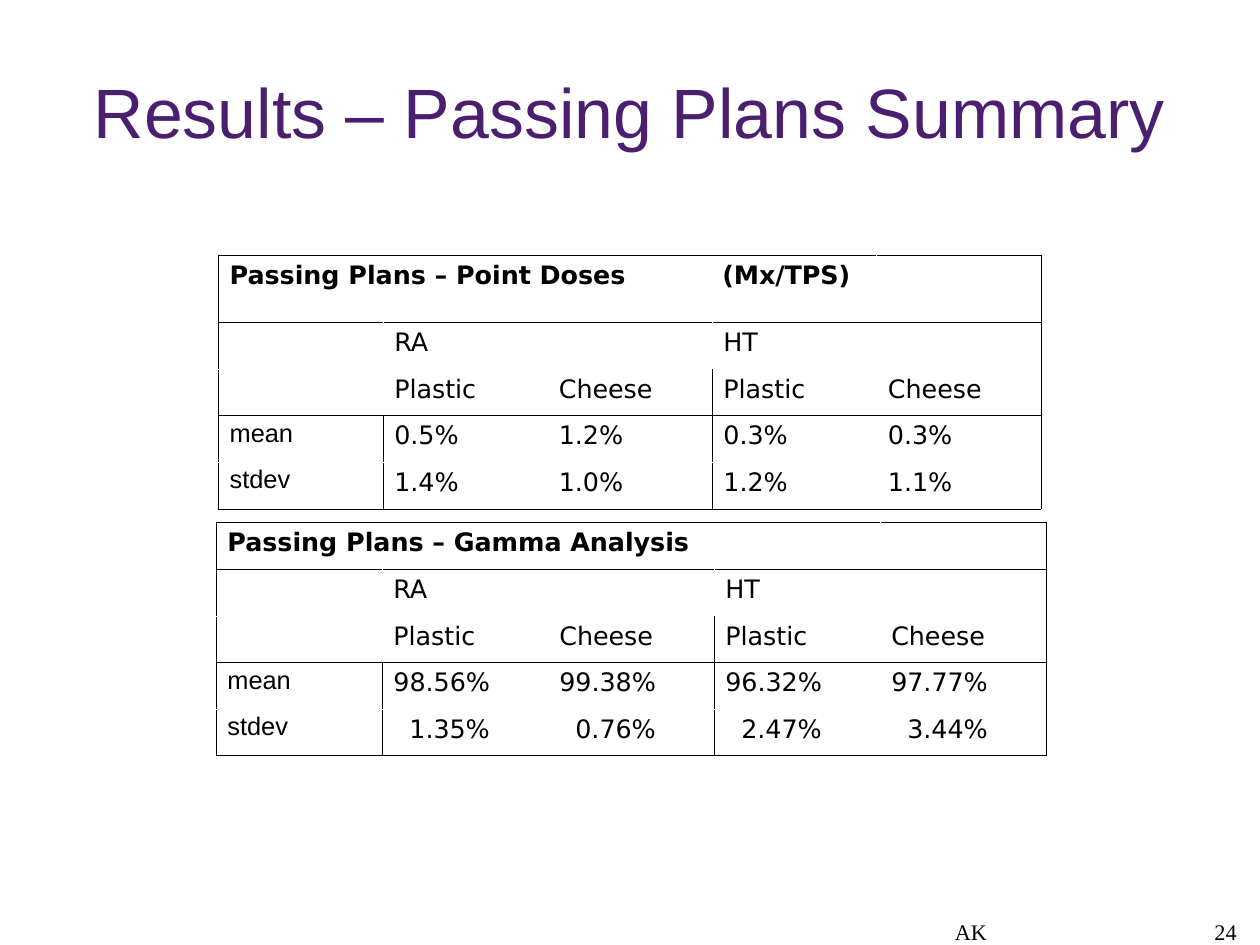
from lxml import etree
from pptx import Presentation
from pptx.dml.color import RGBColor
from pptx.enum import text
from pptx.oxml import ns
from pptx.util import Inches, Pt

BLACK = RGBColor(0x00, 0x00, 0x00)
WHITE = RGBColor(0xFF, 0xFF, 0xFF)
PURPLE = RGBColor(0x4B, 0x1F, 0x6F)
SANS = "DejaVu Sans"


def style(para, font, size, color, spacing, bold=False):
    para.line_spacing = spacing
    for run in para.runs:
        run.font.name = font
        run.font.size = Pt(size)
        run.font.color.rgb = color
        run.font.bold = bold


def border(cell, dark):
    """Draw left, right, top and bottom edges, black where dark is true."""
    props = cell._tc.get_or_add_tcPr()
    for side, on in zip("LRTB", dark):
        line = etree.SubElement(props, ns.qn("a:ln" + side), w="720")
        fill = etree.SubElement(line, ns.qn("a:solidFill"))
        etree.SubElement(fill, ns.qn("a:srgbClr"), val=str(BLACK if on else WHITE))


# The page is 28 by 21 centimetres
prs = Presentation()
prs.slide_width = Inches(28 / 2.54)
prs.slide_height = Inches(21 / 2.54)
slide = prs.slides.add_slide(prs.slide_layouts[6])

# Footer and title
MID, LOW = text.MSO_ANCHOR.MIDDLE, text.MSO_ANCHOR.BOTTOM
CENTER, RIGHT = text.PP_ALIGN.CENTER, text.PP_ALIGN.RIGHT
labels = [
    ("AK", (6.75, 7.7, 3.49, 0.57), LOW, CENTER, "Times New Roman", 14, BLACK, 0.95, 0),
    ("24", (8.25, 7.7, 2.57, 0.57), LOW, RIGHT, "Times New Roman", 14, BLACK, 0.95, 0),
    ("Results – Passing Plans Summary", (0.55, 0.3, 9.92, 1.38), MID, CENTER,
     "Arial", 44, PURPLE, 0.93, 0.04),
]
for words, place, anchor, align, font, size, color, spacing, top in labels:
    frame = slide.shapes.add_textbox(*map(Inches, place)).text_frame
    frame.text = words
    frame.word_wrap = True
    frame.vertical_anchor = anchor
    frame.margin_left = frame.margin_right = frame.margin_bottom = 0
    frame.margin_top = Inches(top)
    para = frame.paragraphs[0]
    para.alignment = align
    style(para, font, size, color, spacing)

# Results tables
heads = [
    ["", "RA", "", "HT", ""],
    ["", "Plastic", "Cheese", "Plastic", "Cheese"],
]
tables = [
    (1.91, 2.23, 7.2, 2.22, 0.59, 0, [
        ["Passing Plans – Point Doses\t(Mx/TPS)", "", "", "", ""],
        *heads,
        ["mean", "0.5%", "1.2%", "0.3%", "0.3%"],
        ["stdev", "1.4%", "1.0%", "1.2%", "1.1%"],
    ]),
    (1.89, 4.57, 7.26, 2.04, 0.41, 0.14, [
        ["Passing Plans – Gamma Analysis", "", "", "", ""],
        *heads,
        ["mean", "98.56%", "99.38%", "96.32%", "97.77%"],
        ["stdev", "1.35%", "0.76%", "2.47%", "3.44%"],
    ]),
]
for left, top, width, height, first, indent, rows in tables:
    table = slide.shapes.add_table(
        5, 5, Inches(left), Inches(top), Inches(width), Inches(height)
    ).table
    table.first_row = table.horz_banding = False
    for r, row in enumerate(rows):
        table.rows[r].height = Inches((height - first) / 4 if r else first)
        for c, words in enumerate(row):
            cell = table.cell(r, c)
            # Vertical rules stand at column edges 0, 1, 3 and 5
            start = {0: 0, 1: 3, 3: 2, 5: 0}
            sides = [r >= start.get(edge, 5) for edge in (c, c + 1)]
            border(cell, sides + [r in (0, 1, 3), r in (0, 2, 4)])
            cell.fill.solid()
            cell.fill.fore_color.rgb = WHITE
            cell.margin_left = Inches(0.1 + (indent if r == 4 and c else 0))
            if not words:
                continue
            cell.text_frame.text = words
            para = cell.text_frame.paragraphs[0]
            if "\t" in words:
                tabs = etree.SubElement(para._p.get_or_add_pPr(), ns.qn("a:tabLst"))
                etree.SubElement(tabs, ns.qn("a:tab"), pos=str(Inches(4.31)), algn="l")
            side = r > 2 and c == 0
            style(para, "Arial" if side else SANS, 16, BLACK,
                  0.93 if side else 1.01, bold=r == 0)
    table.cell(0, 0).merge(table.cell(0, 3))
    table.cell(1, 1).merge(table.cell(1, 2))

prs.save("out.pptx")
